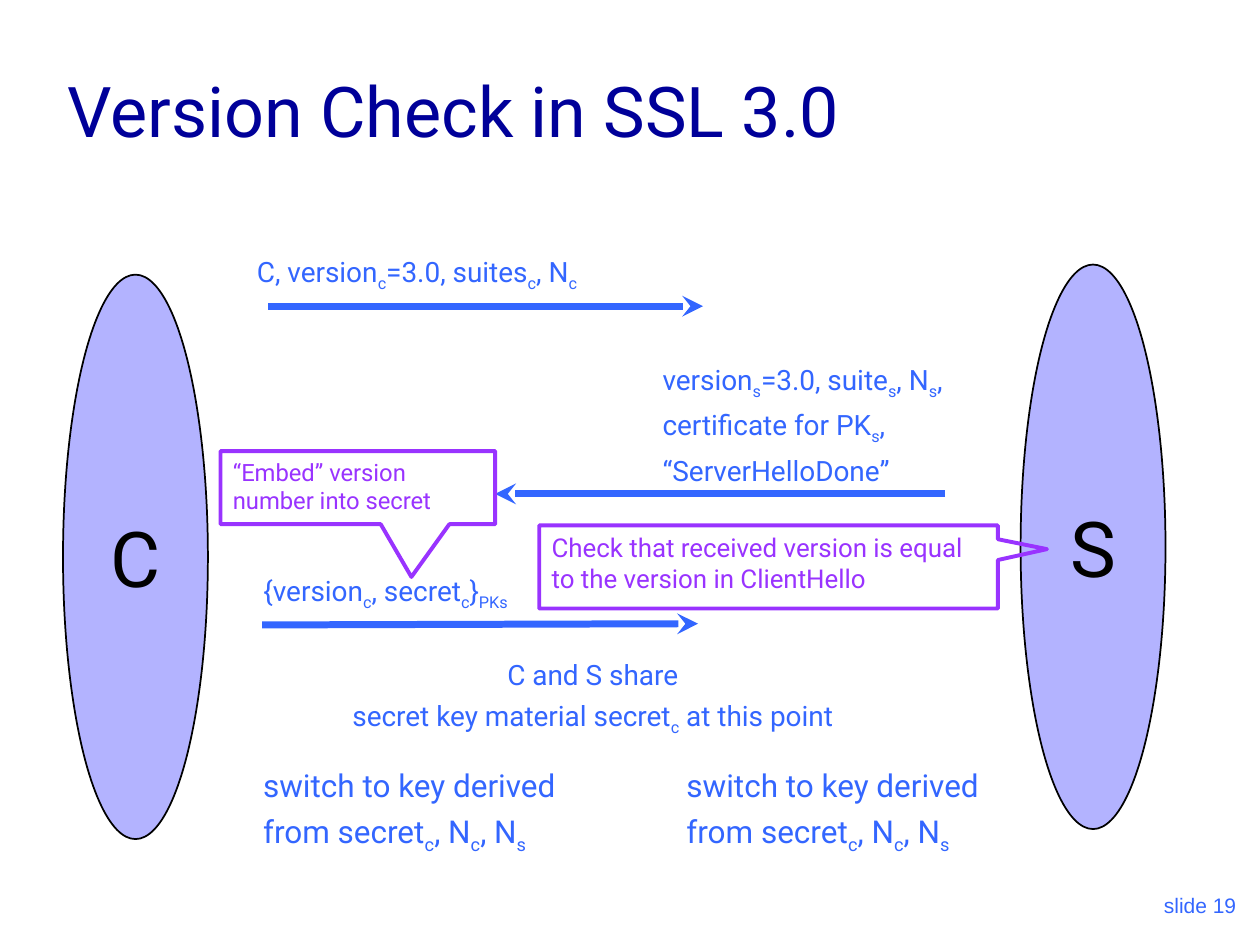
import pptx
import pptx.util
import pptx.dml.color
import pptx.enum.shapes
import pptx.enum.text
import pptx.oxml.ns
from lxml import etree

Inches = pptx.util.Inches
Pt = pptx.util.Pt
RGBColor = pptx.dml.color.RGBColor
Align = pptx.enum.text.PP_ALIGN
Anchor = pptx.enum.text.MSO_ANCHOR
AutoSize = pptx.enum.text.MSO_AUTO_SIZE
Shape = pptx.enum.shapes.MSO_SHAPE

NAVY = RGBColor(0x00, 0x00, 0x99)
BLUE = RGBColor(0x33, 0x66, 0xFF)
LAVENDER = RGBColor(0xB3, 0xB3, 0xFF)
PURPLE = RGBColor(0x99, 0x33, 0xFF)
BLACK = RGBColor(0x00, 0x00, 0x00)

SWITCH_KEY = ["switch to key derived", "from secret|c|, N|c|, N|s|"]

# left, top, width, height, size, alignment, lines
MESSAGES = [
    (5.16, 2.83, 2.55, 1.09, 16, Align.LEFT,
     ["version|s|=3.0, suite|s|, N|s|,", "certificate for PK|s|,", "“ServerHelloDone”"]),
    (1.88, 1.97, 2.86, 0.41, 16, Align.CENTER, ["C, version|c|=3.0, suites|c|, N|c|"]),
    (1.95, 4.5, 2.22, 0.41, 16, Align.CENTER, ["{version|c|, secret|c|}|PKs|"]),
    (2.59, 5.17, 4.23, 0.73, 16, Align.CENTER,
     ["C and S share", "secret key material secret|c| at this point"]),
    (1.99, 6.03, 2.67, 0.81, 18, Align.LEFT, SWITCH_KEY),
    (5.35, 6.03, 2.67, 0.81, 18, Align.LEFT, SWITCH_KEY),
]

# start x, start y, end x, end y
ARROWS = [
    (2.13, 2.43, 5.58, 2.43),
    (7.5, 3.92, 3.93, 3.92),
    (2.08, 4.96, 5.54, 4.95),
]

# left, top, width, height, pointer position, size, text
CALLOUTS = [
    (1.75, 3.58, 2.18, 0.58, (0.195, 1.223), 13.6, "“Embed” version number into secret"),
    (4.28, 4.17, 3.64, 0.66, (0.607, -0.214), 14.8,
     "Check that received version is equal to the version in ClientHello"),
]


def apply_format(target, values):
    for name, value in values.items():
        setattr(target, name, value)


def write_lines(shape, lines, size, color, align=Align.LEFT, font="Roboto", **frame_format):
    """Fill a shape with one paragraph a line; text between bars is subscript."""
    frame = shape.text_frame
    apply_format(frame, frame_format)
    for index, line in enumerate(lines):
        paragraph = frame.add_paragraph() if index else frame.paragraphs[0]
        paragraph.alignment = align
        if index:
            paragraph.space_before = Pt(size / 4)
        for position, text in enumerate(line.split("|")):
            if not text:
                continue
            run = paragraph.add_run()
            run.text = text
            apply_format(run.font, {"size": Pt(size), "name": font})
            run.font.color.rgb = color
            if position % 2:
                run.font._element.set("baseline", "-25000")


def add_text(slide, box, lines, size, color, **options):
    shape = slide.shapes.add_textbox(*map(Inches, box))
    write_lines(shape, lines, size, color, **options)


def add_outlined_shape(slide, kind, box, line_color, line_width):
    shape = slide.shapes.add_shape(kind, *map(Inches, box))
    shape.shadow.inherit = False
    shape.line.color.rgb = line_color
    shape.line.width = Pt(line_width)
    return shape


def add_party(slide, left, top, name):
    ellipse = add_outlined_shape(slide, Shape.OVAL, (left, top, 1.15, 4.48), BLACK, 1)
    ellipse.fill.solid()
    ellipse.fill.fore_color.rgb = LAVENDER
    write_lines(ellipse, [name], 44, BLACK, align=Align.CENTER,
                vertical_anchor=Anchor.MIDDLE, word_wrap=False)


def add_callout(slide, box, pointer, size, text):
    callout = add_outlined_shape(slide, Shape.RECTANGULAR_CALLOUT, box, PURPLE, 2.25)
    callout.fill.background()
    for index, value in enumerate(pointer):
        callout.adjustments[index] = value
    write_lines(callout, [text], size, PURPLE, vertical_anchor=Anchor.TOP, word_wrap=True)


def add_arrow(slide, ends):
    arrow = slide.shapes.add_connector(
        pptx.enum.shapes.MSO_CONNECTOR.STRAIGHT, *map(Inches, ends))
    arrow.line.color.rgb = BLUE
    arrow.line.width = Pt(4)
    qualified = pptx.oxml.ns.qn
    etree.SubElement(arrow.line._get_or_add_ln(), qualified("a:tailEnd"), type="stealth")
    etree.SubElement(arrow._element.spPr, qualified("a:effectLst"))


def main():
    presentation = pptx.Presentation()
    presentation.slide_width = Inches(10)
    presentation.slide_height = Inches(7.5)
    slide = presentation.slides.add_slide(presentation.slide_layouts[6])

    add_text(slide, (7.83, 6.83, 2.08, 0.5), ["slide 19"], 12, BLUE, align=Align.RIGHT,
             font="Arial", vertical_anchor=Anchor.BOTTOM, word_wrap=True)
    add_text(slide, (0.44, 0.25, 8.5, 1), ["Version Check in SSL 3.0"], 40, NAVY,
             vertical_anchor=Anchor.BOTTOM, word_wrap=True)
    add_party(slide, 0.5, 2.18, "C")
    add_party(slide, 8.1, 2.1, "S")
    for ends in ARROWS:
        add_arrow(slide, ends)
    for *box, size, align, lines in MESSAGES:
        add_text(slide, box, lines, size, BLUE, align=align, word_wrap=False,
                 auto_size=AutoSize.SHAPE_TO_FIT_TEXT)
    for *box, pointer, size, text in CALLOUTS:
        add_callout(slide, box, pointer, size, text)

    presentation.save("out.pptx")


if __name__ == "__main__":
    main()
